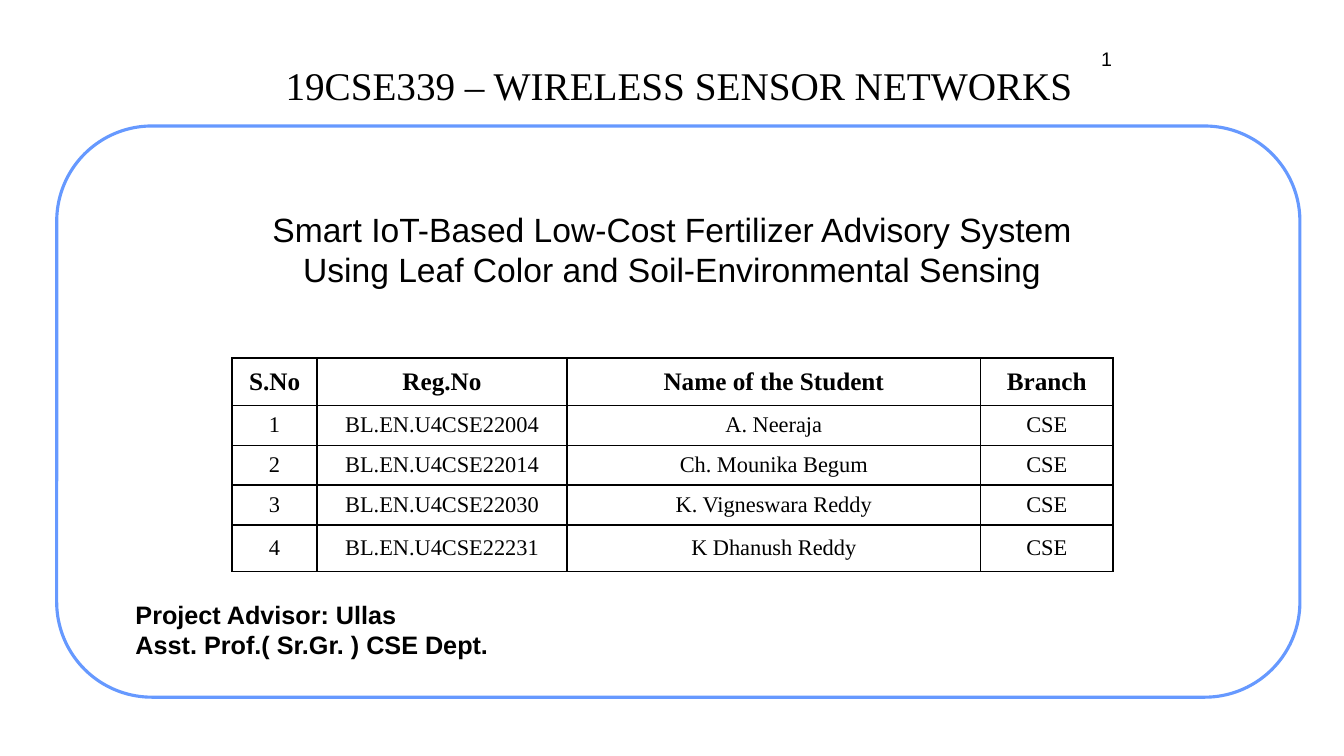
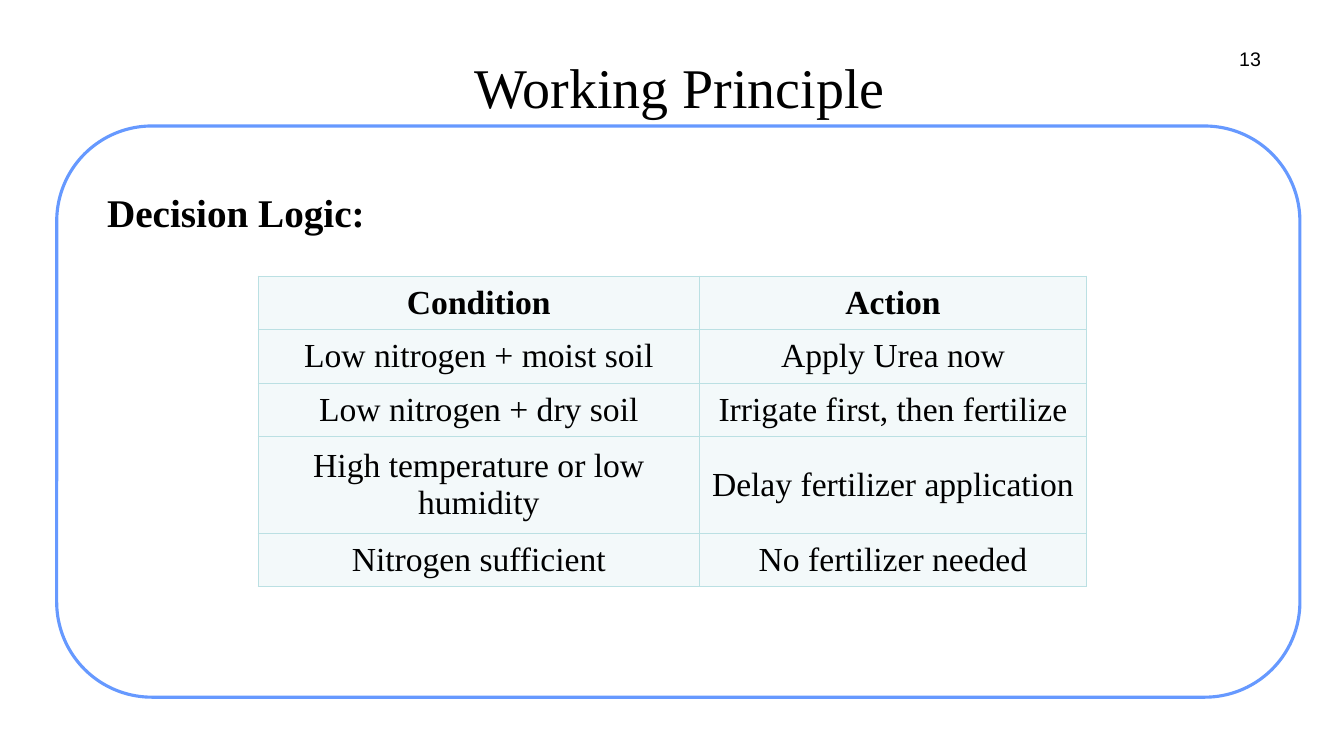
from dataclasses import dataclass

from lxml import etree
from pptx import Presentation
from pptx import util as u
from pptx.dml.color import RGBColor
from pptx.enum import shapes, text
from pptx.oxml.ns import qn

PX = 9525  # EMU in one px, 96 px to the inch
SANS, SERIF = "Arial", "Times New Roman"
BLACK, WHITE, FRAME_BLUE = "000000", "FFFFFF", "6699FF"
PALE_TEAL, TEAL = "F3F9FA", "BBE0E3"
LEFT, CENTER, RIGHT, JUSTIFY = (
    text.PP_ALIGN.LEFT, text.PP_ALIGN.CENTER, text.PP_ALIGN.RIGHT, text.PP_ALIGN.JUSTIFY)
TOP, MIDDLE = text.MSO_ANCHOR.TOP, text.MSO_ANCHOR.MIDDLE


@dataclass(frozen=True)
class Box:
    x: int
    y: int
    w: int
    h: int

    def emu(self) -> list[int]:
        return [v * PX for v in (self.x, self.y, self.w, self.h)]


@dataclass(frozen=True)
class Style:
    font: str
    size: int
    bold: bool = False
    align: text.PP_ALIGN = LEFT
    spacing: float = 1.0


@dataclass(frozen=True)
class Grid:
    x: int
    y: int
    cols: list[int]
    rows: list[int]
    head: Style
    body: Style
    border: str
    fill: str | None = None
    margins: tuple[int, int] = (0, 0)


FRAME = Box(54, 120, 1184, 544)
PAGE_NUMBER = Style(SANS, 14, align=RIGHT)

STUDENT_GRID = Grid(
    221, 341, [81, 238, 394, 126], [45, 38, 38, 38, 44],
    Style(SERIF, 18, True, CENTER), Style(SERIF, 16, align=CENTER), BLACK)
STUDENTS = [
    ("S.No", "Reg.No", "Name of the Student", "Branch"),
    ("1", "BL.EN.U4CSE22004", "A. Neeraja", "CSE"),
    ("2", "BL.EN.U4CSE22014", "Ch. Mounika Begum", "CSE"),
    ("3", "BL.EN.U4CSE22030", "K. Vigneswara Reddy", "CSE"),
    ("4", "BL.EN.U4CSE22231", "K Dhanush Reddy", "CSE"),
]

DECISION_GRID = Grid(
    246, 263, [420, 369], [51, 51, 51, 92, 51],
    Style(SERIF, 24, True, CENTER), Style(SERIF, 24, align=CENTER),
    TEAL, PALE_TEAL, (10, 5))
DECISIONS = [
    ("Condition", "Action"),
    ("Low nitrogen + moist soil", "Apply Urea now"),
    ("Low nitrogen + dry soil", "Irrigate first, then fertilize"),
    ("High temperature or low humidity", "Delay fertilizer application"),
    ("Nitrogen sufficient", "No fertilizer needed"),
]


def rgb(color: str) -> RGBColor:
    return RGBColor.from_string(color)


def write(tf, lines: list[str], style: Style) -> None:
    for i, line in enumerate(lines):
        p = tf.add_paragraph() if i else tf.paragraphs[0]
        p.alignment = style.align
        p.line_spacing = style.spacing
        r = p.add_run()
        r.text = line
        r.font.name = style.font
        r.font.size = u.Pt(style.size)
        r.font.bold = style.bold
        r.font.color.rgb = rgb(BLACK)


def set_margins(target, across: int, down: int) -> None:
    target.margin_left = target.margin_right = across * PX
    target.margin_top = target.margin_bottom = down * PX


def add_text(slide, box: Box, lines: list[str], style: Style,
             anchor: text.MSO_ANCHOR = TOP, margins: tuple[int, int] = (5, 5)) -> None:
    tf = slide.shapes.add_textbox(*box.emu()).text_frame
    tf.word_wrap = True
    tf.vertical_anchor = anchor
    set_margins(tf, *margins)
    write(tf, lines, style)


def add_border(cell, color: str) -> None:
    """Draw a 1 pt line on all four sides; call before setting the cell's fill."""
    tc_pr = cell._tc.get_or_add_tcPr()
    for side in ("lnL", "lnR", "lnT", "lnB"):
        ln = etree.SubElement(tc_pr, qn(f"a:{side}"), w=str(u.Pt(1)))
        fill = etree.SubElement(ln, qn("a:solidFill"))
        etree.SubElement(fill, qn("a:srgbClr"), val=color)


def add_grid(slide, grid: Grid, data: list[tuple[str, ...]]) -> None:
    box = Box(grid.x, grid.y, sum(grid.cols), sum(grid.rows))
    table = slide.shapes.add_table(len(grid.rows), len(grid.cols), *box.emu()).table
    table.first_row = table.horz_banding = False
    for column, width in zip(table.columns, grid.cols):
        column.width = width * PX
    for i, (row, height, values) in enumerate(zip(table.rows, grid.rows, data)):
        row.height = height * PX
        for cell, value in zip(row.cells, values):
            add_border(cell, grid.border)
            if grid.fill:
                cell.fill.solid()
                cell.fill.fore_color.rgb = rgb(grid.fill)
            else:
                cell.fill.background()
            cell.vertical_anchor = MIDDLE
            set_margins(cell, *grid.margins)
            write(cell.text_frame, [value], grid.body if i else grid.head)


def add_framed_slide(prs, number: int, number_box: Box):
    """Add a blank slide with the rounded frame and its page number."""
    s = prs.slides.add_slide(prs.slide_layouts[6])
    sp = s.shapes.add_shape(shapes.MSO_SHAPE.ROUNDED_RECTANGLE, *FRAME.emu())
    sp.shadow.inherit = False
    sp.fill.solid()
    sp.fill.fore_color.rgb = rgb(WHITE)
    sp.line.color.rgb = rgb(FRAME_BLUE)
    sp.line.width = u.Pt(2.25)
    add_text(s, number_box, [str(number)], PAGE_NUMBER)
    return s


def add_cover(prs) -> None:
    s = add_framed_slide(prs, 1, Box(1042, 40, 22, 33))
    add_text(s, Box(236, 137, 808, 201),
             ["Smart IoT-Based Low-Cost Fertilizer Advisory System "
              "Using Leaf Color and Soil-Environmental Sensing"],
             Style(SANS, 24, align=CENTER), MIDDLE)
    add_text(s, Box(267, 57, 778, 48), ["19CSE339 – WIRELESS SENSOR NETWORKS"],
             Style(SERIF, 28), MIDDLE)
    add_grid(s, STUDENT_GRID, STUDENTS)
    add_text(s, Box(119, 566, 640, 97),
             ["Project Advisor: Ullas", "Asst. Prof.( Sr.Gr. ) CSE Dept."],
             Style(SANS, 18, True), margins=(10, 5))


def add_working_principle(prs) -> None:
    s = add_framed_slide(prs, 13, Box(1164, 40, 42, 33))
    add_text(s, Box(71, 32, 1152, 100), ["Working Principle"],
             Style(SERIF, 40, align=CENTER), MIDDLE)
    add_text(s, Box(92, 152, 1042, 69), ["Decision Logic:"],
             Style(SERIF, 28, True, JUSTIFY, 1.5), margins=(10, 5))
    add_grid(s, DECISION_GRID, DECISIONS)


def main() -> None:
    prs = Presentation()
    prs.slide_width, prs.slide_height = 1280 * PX, 720 * PX
    add_cover(prs)
    add_working_principle(prs)
    prs.save("out.pptx")


if __name__ == "__main__":
    main()
